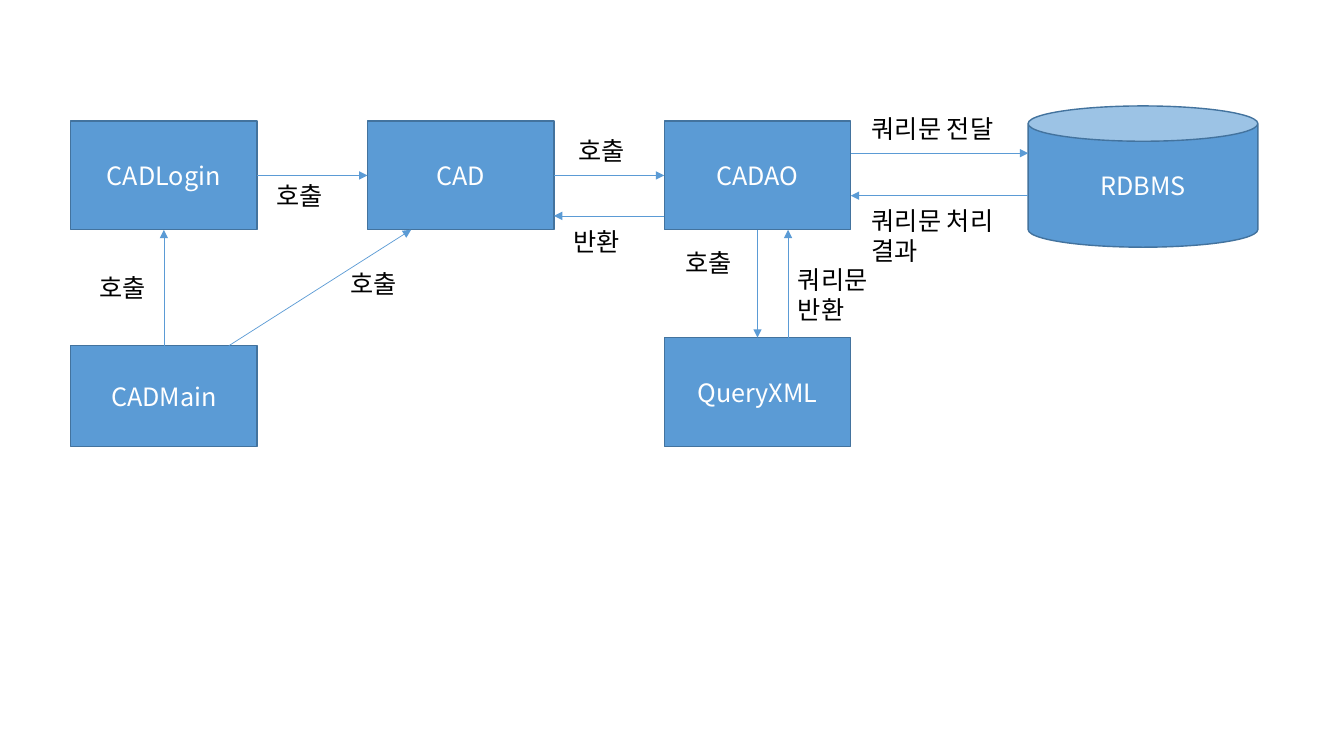
"""Build a slide showing the calls between the CAD classes and their database."""
from lxml import etree
from pptx import Presentation
from pptx.dml.color import RGBColor
from pptx.enum.shapes import MSO_CONNECTOR, MSO_SHAPE
from pptx.enum.text import MSO_ANCHOR, PP_ALIGN
from pptx.oxml.ns import qn
from pptx.util import Cm, Pt

RECTANGLE, CAN = MSO_SHAPE.RECTANGLE, MSO_SHAPE.CAN
STRAIGHT = MSO_CONNECTOR.STRAIGHT
MIDDLE, CENTER, LEFT = MSO_ANCHOR.MIDDLE, PP_ALIGN.CENTER, PP_ALIGN.LEFT
BLUE = RGBColor(0x5B, 0x9B, 0xD5)
DARK_BLUE = RGBColor(0x43, 0x73, 0x9E)
WHITE = RGBColor(0xFF, 0xFF, 0xFF)
BLACK = RGBColor(0, 0, 0)
FONT = "Noto Sans CJK KR"

BOX_WIDTH, BOX_HEIGHT, MAIN_HEIGHT = 4.7, 2.74, 2.54
LOGIN_LEFT, CAD_LEFT, DAO_LEFT = [1.78 + 7.48 * column for column in range(3)]
LOGIN_RIGHT, CAD_RIGHT, DAO_RIGHT = [
    left + BOX_WIDTH for left in (LOGIN_LEFT, CAD_LEFT, DAO_LEFT)]
TOP, LOWER_BOTTOM = 3.05, 11.25
BOTTOM, MIDDLE_ROW = TOP + BOX_HEIGHT, TOP + BOX_HEIGHT / 2
QUERY_TOP, MAIN_TOP = LOWER_BOTTOM - BOX_HEIGHT, LOWER_BOTTOM - MAIN_HEIGHT
DATABASE_LEFT = 25.91
LOGIN_CENTER = LOGIN_LEFT + BOX_WIDTH / 2
DAO_CENTER = DAO_LEFT + BOX_WIDTH / 2
RETURN_X = DAO_CENTER + 0.77
LINE_HEIGHT, TWO_LINES = 1.03, 1.8


def write_text(shape, text, color, alignment):
    """Write one run of text in the slide's font."""
    shape.text_frame.word_wrap = True
    paragraph = shape.text_frame.paragraphs[0]
    paragraph.alignment = alignment
    run = paragraph.add_run()
    run.text = text
    run.font.size = Pt(18)
    run.font.name = FONT
    run.font.color.rgb = color
    etree.SubElement(run.font._element, qn("a:ea"), typeface=FONT)


presentation = Presentation()
presentation.slide_width = Cm(33.87)
presentation.slide_height = Cm(19.05)
slide = presentation.slides.add_slide(presentation.slide_layouts[6])

boxes = [
    ("CADLogin", RECTANGLE, LOGIN_LEFT, TOP, BOX_WIDTH, BOX_HEIGHT),
    ("CAD", RECTANGLE, CAD_LEFT, TOP, BOX_WIDTH, BOX_HEIGHT),
    ("CADAO", RECTANGLE, DAO_LEFT, TOP, BOX_WIDTH, BOX_HEIGHT),
    ("QueryXML", RECTANGLE, DAO_LEFT, QUERY_TOP, BOX_WIDTH, BOX_HEIGHT),
    ("RDBMS", CAN, DATABASE_LEFT, 2.67, 5.79, 3.56),
    ("CADMain", RECTANGLE, LOGIN_LEFT, MAIN_TOP, BOX_WIDTH, MAIN_HEIGHT),
]
for name, kind, left, top, width, height in boxes:
    shape = slide.shapes.add_shape(kind, Cm(left), Cm(top), Cm(width), Cm(height))
    shape.shadow.inherit = False
    shape.fill.solid()
    shape.fill.fore_color.rgb = BLUE
    shape.line.color.rgb = DARK_BLUE
    shape.line.width = Pt(1)
    shape.text_frame.vertical_anchor = MIDDLE
    write_text(shape, name, WHITE, CENTER)

arrows = [
    (LOGIN_RIGHT, MIDDLE_ROW, CAD_LEFT, MIDDLE_ROW),
    (CAD_RIGHT, MIDDLE_ROW, DAO_LEFT, MIDDLE_ROW),
    (DAO_LEFT, 5.44, CAD_RIGHT, 5.44),
    (DAO_CENTER, BOTTOM, DAO_CENTER, QUERY_TOP),
    (RETURN_X, QUERY_TOP, RETURN_X, BOTTOM),
    (DAO_RIGHT, 3.86, DATABASE_LEFT, 3.86),
    (DATABASE_LEFT, 4.93, DAO_RIGHT, 4.93),
    (5.77, MAIN_TOP, 10.36, BOTTOM),
    (LOGIN_CENTER, MAIN_TOP, LOGIN_CENTER, BOTTOM),
]
for ends in arrows:
    arrow = slide.shapes.add_connector(STRAIGHT, *[Cm(value) for value in ends])
    arrow.line.color.rgb = BLUE
    arrow.line.width = Pt(0.5)
    etree.SubElement(arrow.line._get_or_add_ln(), qn("a:tailEnd"), type="triangle")
    etree.SubElement(arrow._element.spPr, qn("a:effectLst"))

labels = [
    ("호출", 6.71, 4.42, 3.28, LINE_HEIGHT),
    ("호출", 14.33, 3.28, 2.08, LINE_HEIGHT),
    ("호출", 17.02, 6.1, 2.08, LINE_HEIGHT),
    ("쿼리문 반환", 19.86, 6.53, 2.9, TWO_LINES),
    ("쿼리문 전달", 21.72, 2.74, 4.19, LINE_HEIGHT),
    ("쿼리문 처리 결과", 21.72, 5.05, 4.19, TWO_LINES),
    ("반환", 14.2, 5.59, 2.08, LINE_HEIGHT),
    ("호출", 8.59, 6.63, 3.28, LINE_HEIGHT),
    ("호출", 2.26, 6.73, 3.28, LINE_HEIGHT),
]
for text, left, top, width, height in labels:
    label = slide.shapes.add_textbox(Cm(left), Cm(top), Cm(width), Cm(height))
    write_text(label, text, BLACK, LEFT)

presentation.save("out.pptx")
